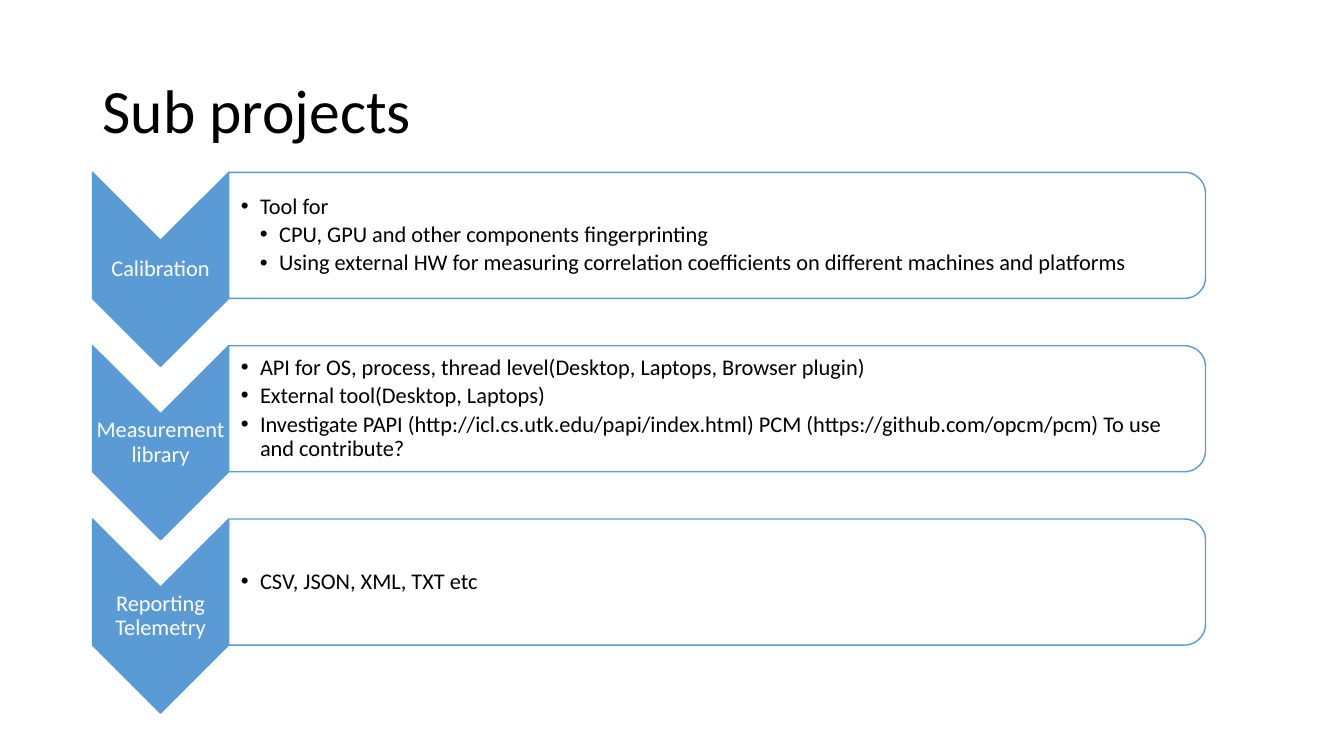
import math
from dataclasses import dataclass

import lxml.etree
import pptx
import pptx.dml.color
import pptx.enum.text
import pptx.oxml.ns
import pptx.shapes.autoshape
import pptx.text.text
import pptx.util

COLORS = {"accent": "5B9BD5", "paper": "FFFFFF", "ink": "000000"}
FONT = "Calibri"
WIDTH = pptx.util.Inches(13.33)
HEIGHT = pptx.util.Inches(7.5)

# Percent of the slide's width
LEFT, SPLIT, RIGHT = 6.88, 17.02, 89.7
# Percent of the slide's height
FIRST_TOP, PITCH, BAND, NOTCH, RADIUS = 22.8, 22.93, 16.67, 9, 2.78

ARC_STEPS = 12
BULLET_INDENT = pptx.util.Inches(0.19)

Point = tuple[int, int]


@dataclass(frozen=True)
class Bullet:
    text: str
    level: int = 1


@dataclass(frozen=True)
class Project:
    name: str
    bullets: tuple[Bullet, ...]


PROJECTS = (
    Project("Calibration", (
        Bullet("Tool for"),
        Bullet("CPU, GPU and other components fingerprinting", 2),
        Bullet("Using external HW for measuring correlation coefficients "
               "on different machines and platforms", 2),
    )),
    Project("Measurement library", (
        Bullet("API for OS, process, thread level(Desktop, Laptops, Browser plugin)"),
        Bullet("External tool(Desktop, Laptops)"),
        Bullet("Investigate PAPI (http://icl.cs.utk.edu/papi/index.html) "
               "PCM (https://github.com/opcm/pcm) To use and contribute?"),
    )),
    Project("Reporting Telemetry", (Bullet("CSV, JSON, XML, TXT etc"),)),
)


def across(percent: float) -> int:
    return round(WIDTH * percent / 100)


def down(percent: float) -> int:
    return round(HEIGHT * percent / 100)


def rgb(name: str) -> pptx.dml.color.RGBColor:
    return pptx.dml.color.RGBColor.from_string(COLORS[name])


def add_bullet(p: pptx.text.text._Paragraph, level: int) -> None:
    pPr = p._p.get_or_add_pPr()
    pPr.set("marL", str(level * BULLET_INDENT))
    pPr.set("indent", str(-BULLET_INDENT))
    p.level = level
    for tag, key, value in (("a:buFont", "typeface", "Arial"), ("a:buChar", "char", "•")):
        lxml.etree.SubElement(pPr, pptx.oxml.ns.qn(tag)).set(key, value)


def write(tf: pptx.text.text.TextFrame, text: str, *, size: float = 16,
          color: str = "ink", align: str = "LEFT", after: float = 0,
          bullet_level: int = 0) -> None:
    """Fill the frame's empty first paragraph, or add a paragraph after it."""
    p = tf.paragraphs[0] if not tf.text else tf.add_paragraph()
    if bullet_level:
        add_bullet(p, bullet_level)
    p.alignment = pptx.enum.text.PP_ALIGN[align]
    p.line_spacing = 0.9
    p.space_before = pptx.util.Pt(0)
    p.space_after = pptx.util.Pt(after)
    r = p.add_run()
    r.text = text
    r.font.size = pptx.util.Pt(size)
    r.font.name = FONT
    r.font.color.rgb = rgb(color)


def set_frame(tf: pptx.text.text.TextFrame, *insets: float) -> None:
    """Wrap and centre vertically; insets are left, top, right, bottom in inches."""
    tf.word_wrap = True
    tf.auto_size = pptx.enum.text.MSO_AUTO_SIZE.NONE
    tf.vertical_anchor = pptx.enum.text.MSO_ANCHOR.MIDDLE
    (tf.margin_left, tf.margin_top,
     tf.margin_right, tf.margin_bottom) = map(pptx.util.Inches, insets)


def add_outline(slide: pptx.slide.Slide, points: list[Point],
                fill: str) -> pptx.shapes.autoshape.Shape:
    builder = slide.shapes.build_freeform(*points[0])
    builder.add_line_segments(points[1:], close=True)
    sp = builder.convert_to_shape()
    sp.shadow.inherit = False
    sp.fill.solid()
    sp.fill.fore_color.rgb = rgb(fill)
    sp.line.color.rgb = rgb("accent")
    sp.line.width = pptx.util.Pt(1)
    return sp


def add_chevron(slide: pptx.slide.Slide, top: float, name: str) -> None:
    left, right = across(LEFT), across(SPLIT)
    middle = (left + right) // 2
    sp = add_outline(slide, [
        (left, down(top)), (middle, down(top + NOTCH)), (right, down(top)),
        (right, down(top + BAND)), (middle, down(top + BAND + NOTCH)),
        (left, down(top + BAND)),
    ], "accent")
    set_frame(sp.text_frame, 0.01, 0.69, 0.01, 0.69)
    write(sp.text_frame, name, color="paper", align="CENTER", after=7)


def add_panel(slide: pptx.slide.Slide, top: float, bullets: tuple[Bullet, ...]) -> None:
    """Draw a box with rounded right corners."""
    left, right, radius = across(SPLIT), across(RIGHT), down(RADIUS)
    upper, lower = down(top), down(top + BAND)
    corners = []
    for center_y, start in ((upper + radius, -90), (lower - radius, 0)):
        for step in range(ARC_STEPS + 1):
            angle = math.radians(start + 90 * step / ARC_STEPS)
            corners.append((round(right - radius + radius * math.cos(angle)),
                            round(center_y + radius * math.sin(angle))))
    sp = add_outline(slide, [(left, upper), *corners, (left, lower)], "paper")
    set_frame(sp.text_frame, 0.12, 0.07, 0.07, 0.07)
    for bullet in bullets:
        write(sp.text_frame, bullet.text, after=3, bullet_level=bullet.level)


def add_title(slide: pptx.slide.Slide, text: str) -> None:
    sp = slide.shapes.title
    sp.left, sp.top = across(LEFT), down(5.33)
    sp.width, sp.height = across(86.25), down(19.33)
    set_frame(sp.text_frame, 0.1, 0.05, 0.1, 0.05)
    write(sp.text_frame, text, size=44)


def main() -> None:
    prs = pptx.Presentation()
    prs.slide_width, prs.slide_height = WIDTH, HEIGHT
    slide = prs.slides.add_slide(prs.slide_layouts.get_by_name("Title Only"))
    add_title(slide, "Sub projects")
    for row, project in enumerate(PROJECTS):
        top = FIRST_TOP + row * PITCH
        add_chevron(slide, top, project.name)
        add_panel(slide, top, project.bullets)
    prs.save("out.pptx")


if __name__ == "__main__":
    main()
